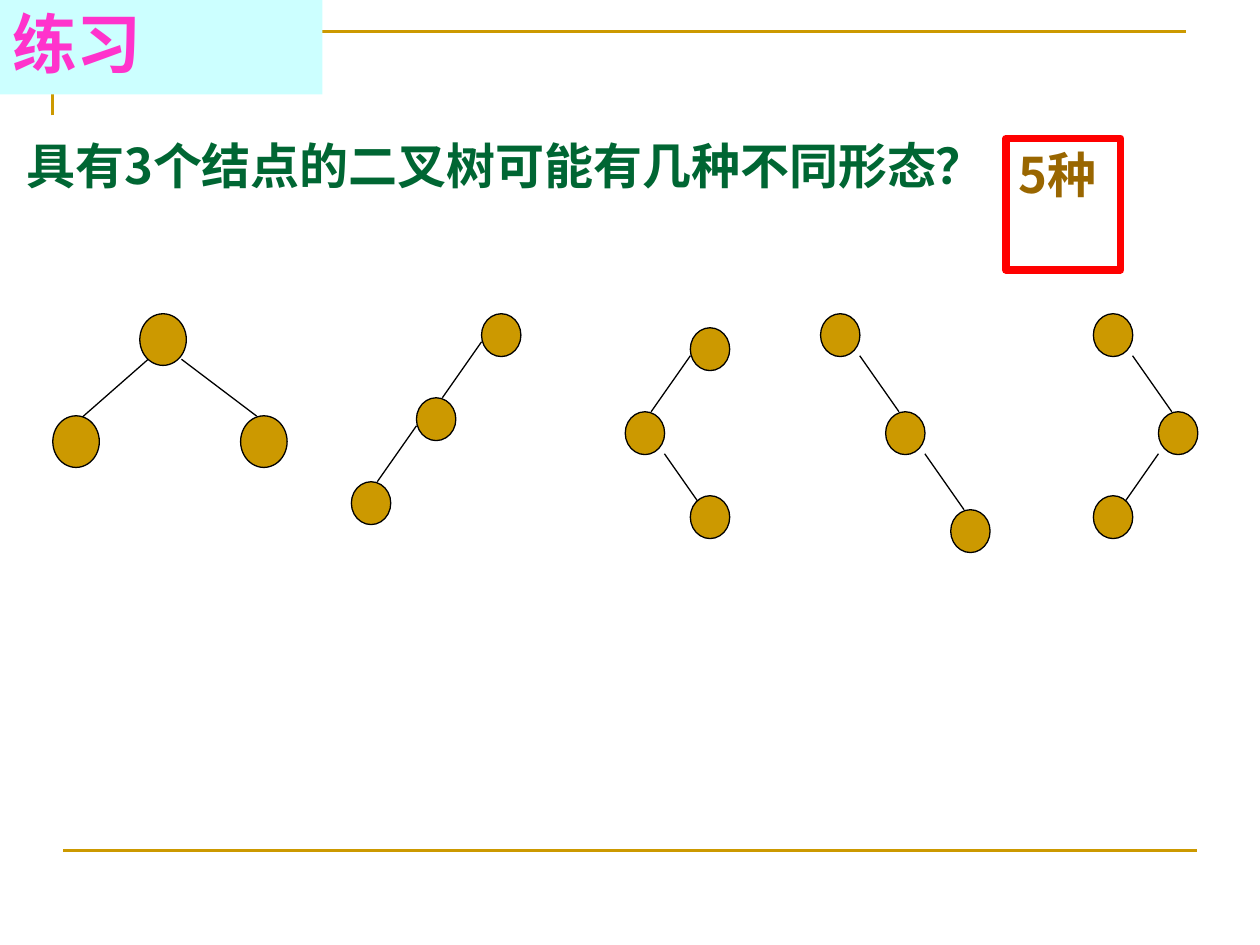
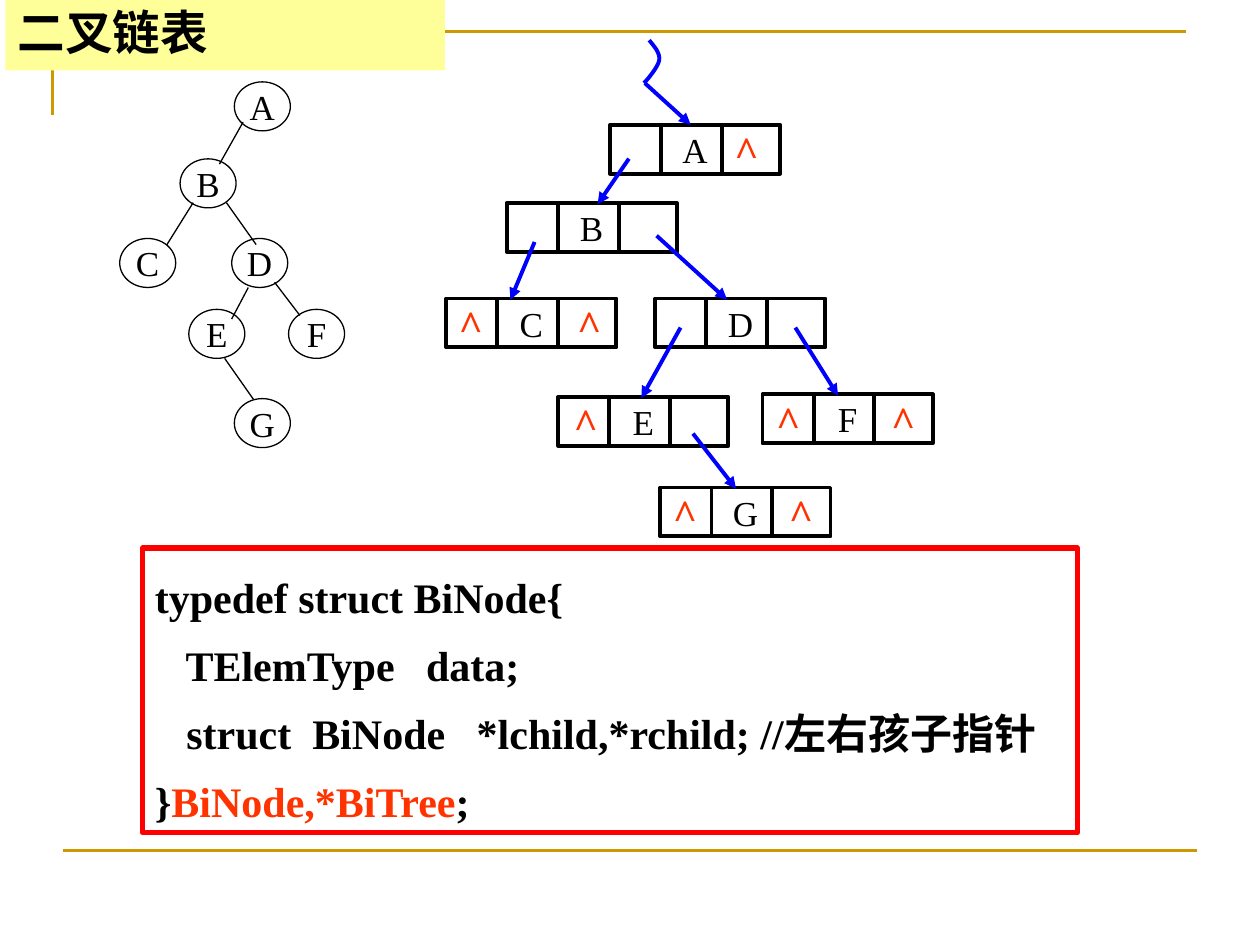
from pptx import Presentation
from pptx import util as u
from pptx.dml.color import RGBColor
from pptx.enum import shapes, text
from pptx.oxml.ns import qn
from lxml import etree

RECT, OVAL = shapes.MSO_SHAPE.RECTANGLE, shapes.MSO_SHAPE.OVAL
LEFT, MID = text.PP_ALIGN.LEFT, text.PP_ALIGN.CENTER
TOP, CENTER = text.MSO_ANCHOR.TOP, text.MSO_ANCHOR.MIDDLE
HAN, TIMES = "Noto Sans CJK SC", "Times New Roman"
GOLD, BLACK, RED, BLUE, ORANGE = "CC9900", "000000", "FF0000", "0000FF", "FF3300"


def paint(fmt, color):
    """Colour a line, fill or font from a hex string."""
    fmt.rgb = RGBColor.from_string(color)


def stroke(shape, color, width):
    shape.line.fill.solid()
    paint(shape.line.fill.fore_color, color)
    shape.line.width = u.Pt(width)


def style(para, size, color, face=HAN, bold=True, align=LEFT, gap=None):
    """Set one paragraph, with the Han font for East Asian letters."""
    para.alignment = align
    if gap:
        para.line_spacing = gap
    font = para.font
    font.size, font.name, font.bold = u.Pt(size), face, bold
    paint(font.color, color)
    base = para._p.pPr.find(qn("a:defRPr"))
    base.find(qn("a:latin")).addnext(etree.Element(qn("a:ea"), typeface=HAN))


def shape(slide, kind, x, y, w, h, fill=None, line=None, width=0.75):
    part = slide.shapes.add_shape(kind, *map(u.Pt, (x, y, w, h)))
    part.shadow.inherit = False
    if fill:
        part.fill.solid()
        paint(part.fill.fore_color, fill)
    else:
        part.fill.background()
    if line:
        stroke(part, line, width)
    else:
        part.line.fill.background()
    return part


def label(part, words, size, color, wrap=False, anchor=CENTER, **look):
    frame = part.text_frame
    frame.word_wrap, frame.vertical_anchor = wrap, anchor
    frame.text = words
    style(frame.paragraphs[0], size, color, **look)


def note(slide, x, y, w, h, words, size, color, **look):
    label(slide.shapes.add_textbox(*map(u.Pt, (x, y, w, h))), words, size, color, **look)


def line(slide, x1, y1, x2, y2, color=BLACK, width=0.75, arrow=False):
    link = slide.shapes.add_connector(
        shapes.MSO_CONNECTOR.STRAIGHT, *map(u.Pt, (x1, y1, x2, y2)))
    stroke(link, color, width)
    if arrow:
        etree.SubElement(link.line._get_or_add_ln(), qn("a:tailEnd"), type="triangle")
    etree.SubElement(link._element.spPr, qn("a:effectLst"))


def trace(slide, points, color, width):
    """Draw an open outline through the points."""
    first, *rest = [(u.Pt(x), u.Pt(y)) for x, y in points]
    pen = slide.shapes.build_freeform(*first)
    pen.add_line_segments(rest, close=False)
    part = pen.convert_to_shape()
    part.shadow.inherit = False
    part.fill.background()
    stroke(part, color, width)


def page(deck):
    """Add a blank slide with the gold frame."""
    slide = deck.slides.add_slide(deck.slide_layouts[6])
    trace(slide, [(30, 66), (30, 18), (678, 18)], GOLD, 1.5)
    line(slide, 36, 486, 684, 486, GOLD, 1.5)
    return slide


def title(slide, x, w, h, fill, words, size, color):
    band = shape(slide, RECT, x, 0, w, h, fill)
    label(band, words, size, color, wrap=True, gap=0.9)


# Trees with three nodes

def dot(slide, x, y, w=22.5, h=24.5):
    shape(slide, OVAL, x, y, w, h, GOLD, BLACK)


def fork(slide, x, y):
    """Root with two children."""
    line(slide, x + 54.5, y + 26, x + 13.5, y + 62)
    line(slide, x + 73.5, y + 26, x + 116.5, y + 58.5)
    for dx, dy in [(49.7, 0), (0, 58.3), (107.3, 58.3)]:
        dot(slide, x + dx, y + dy, 26.6, 29.5)


def chain(slide, x, y, steps):
    """Nodes in a row; a step is side (-1 left, 1 right), drop, edge start."""
    spots = [(x, y)]
    for side, drop, start in steps:
        edge = x + (22.4 if side > 0 else 0)
        line(slide, edge, y + start, edge + side * 22.4, y + start + 32)
        x, y = x + side * 37.2, y + drop
        spots.append((x, y))
    for spot in spots:
        dot(slide, *spot)


def forms(slide, x, y):
    """The five forms of a tree with three nodes."""
    fork(slide, x, y)
    left, right = (-1, 48, 16), (1, 56, 24)
    chain(slide, x + 245, y, [left, left])
    chain(slide, x + 364.3, y + 8, [left, (1, 48, 24)])
    chain(slide, x + 438.7, y, [right, right])
    chain(slide, x + 594.6, y, [right, (-1, 48, 24)])


# Binary tree with letters

NODES = {"A": (65.5, 0), "B": (34.5, 44), "C": (0, 89.5), "D": (64, 89.5),
         "E": (39.5, 130), "F": (96.5, 130), "G": (65.5, 181)}
EDGES = [(70.5, 23, 57, 47), (42, 69, 27, 93), (61, 69, 78, 93),
         (73.5, 117.5, 64, 135.5), (88.5, 114.5, 103, 133.5), (60, 158, 76.5, 181.5)]


def tree(slide, x, y):
    for name, (dx, dy) in NODES.items():
        node = shape(slide, OVAL, x + dx, y + dy, 32, 28, line=BLACK)
        label(node, name, 20, BLACK, face=TIMES, bold=False, align=MID)
    for x1, y1, x2, y2 in EDGES:
        line(slide, x + x1, y + y1, x + x2, y + y2)


# Linked list: place of each record, then centres of its null marks
CELLS = {"A": (93.6, 48.3, [78]), "B": (34.5, 93, []), "C": (0, 147.6, [14, 81.7]),
         "D": (119.5, 147.6, []), "E": (64, 203.8, [15.8]),
         "F": (180.7, 202.4, [14.7, 80.4]), "G": (122.4, 255.6, [14, 80.4])}
# Start record, offset in it, target record, offset along its top
LINKS = [("A", 10.8, 19.4, "B", 52), ("B", 16, 22.3, "C", 36.7),
         ("B", 85.7, 18.7, "D", 41), ("D", 14.4, 16.6, "E", 47.5),
         ("D", 80, 16.6, "F", 43.2), ("E", 77, 21, "G", 43.2)]
BENDS = [[(116, 0), (118.8, 3.6), (122.4, 7.2), (121.7, 11.6)],
         [(121.7, 11.6), (121, 15.2), (115.2, 22.4), (113, 24.5)]]


def record(slide, x, y, name):
    cell = shape(slide, RECT, x, y, 97.2, 28, line=BLACK, width=2.25)
    label(cell, name, 20, BLACK, face=TIMES, bold=False, align=MID)
    for dx in (29.2, 64):
        line(slide, x + dx, y, x + dx, y + 28, width=2.25)


def curve(bend, t):
    """Point at t on a cubic curve."""
    share = [(1 - t) ** 3, 3 * t * (1 - t) ** 2, 3 * t * t * (1 - t), t ** 3]
    return [sum(k * p[axis] for k, p in zip(share, bend)) for axis in (0, 1)]


def linked(slide, x, y):
    for name, (dx, dy, _) in CELLS.items():
        record(slide, x + dx, y + dy, name)
    for start, dx, dy, end, top in LINKS:
        sx, sy, _ = CELLS[start]
        ex, ey, _ = CELLS[end]
        line(slide, x + sx + dx, y + sy + dy, x + ex + top, y + ey + 0.7, BLUE, 2.25, True)
    # Head pointer
    points = [curve(bend, step / 8) for bend in BENDS for step in range(9)]
    trace(slide, [(x + px, y + py) for px, py in points], BLUE, 2.25)
    line(slide, x + 113.5, y + 24.5, x + 139.7, y + 48.3, BLUE, 2.25, True)
    # Null marks
    for dx, dy, marks in CELLS.values():
        for mark in marks:
            note(slide, x + dx + mark - 14, y + dy - 3.6, 28, 36, "^", 24, ORANGE,
                 face=TIMES, align=MID)


CODE = [[("typedef struct BiNode{", BLACK)],
        [("   TElemType   data;", BLACK)],
        [("   struct  BiNode   *lchild,*rchild; //左右孩子指针", BLACK)],
        [("}", BLACK), ("BiNode,*BiTree", ORANGE), (";", BLACK)]]


def code(slide, x, y, w, h):
    frame = shape(slide, RECT, x, y, w, h, line=RED, width=3).text_frame
    frame.word_wrap, frame.vertical_anchor = True, TOP
    for at, parts in enumerate(CODE):
        para = frame.add_paragraph() if at else frame.paragraphs[0]
        style(para, 24, BLACK, face=TIMES, gap=1.35)
        for words, color in parts:
            run = para.add_run()
            run.text = words
            if color != BLACK:
                paint(run.font.color, color)


def drill(deck):
    slide = page(deck)
    note(slide, 8, 74, 720, 41, "具有3个结点的二叉树可能有几种不同形态？", 28, "006633",
         wrap=True, anchor=TOP)
    forms(slide, 30.2, 179.3)
    title(slide, 0, 184.3, 54, "CCFFFF", "练习", 37, "FF33CC")
    reply = shape(slide, RECT, 574.8, 79.2, 65.5, 75, line=RED, width=4.5)
    label(reply, "5种", 28, "996600", anchor=TOP)


def store(deck):
    slide = page(deck)
    tree(slide, 68.4, 46.8)
    linked(slide, 255, 23)
    title(slide, 3, 251.3, 40.3, "FFFF99", "二叉链表", 27.2, BLACK)
    code(slide, 81.4, 313.2, 534.2, 162.7)


def main():
    deck = Presentation()
    deck.slide_width, deck.slide_height = u.Pt(720), u.Pt(540)
    drill(deck)
    store(deck)
    deck.save("out.pptx")


if __name__ == "__main__":
    main()
